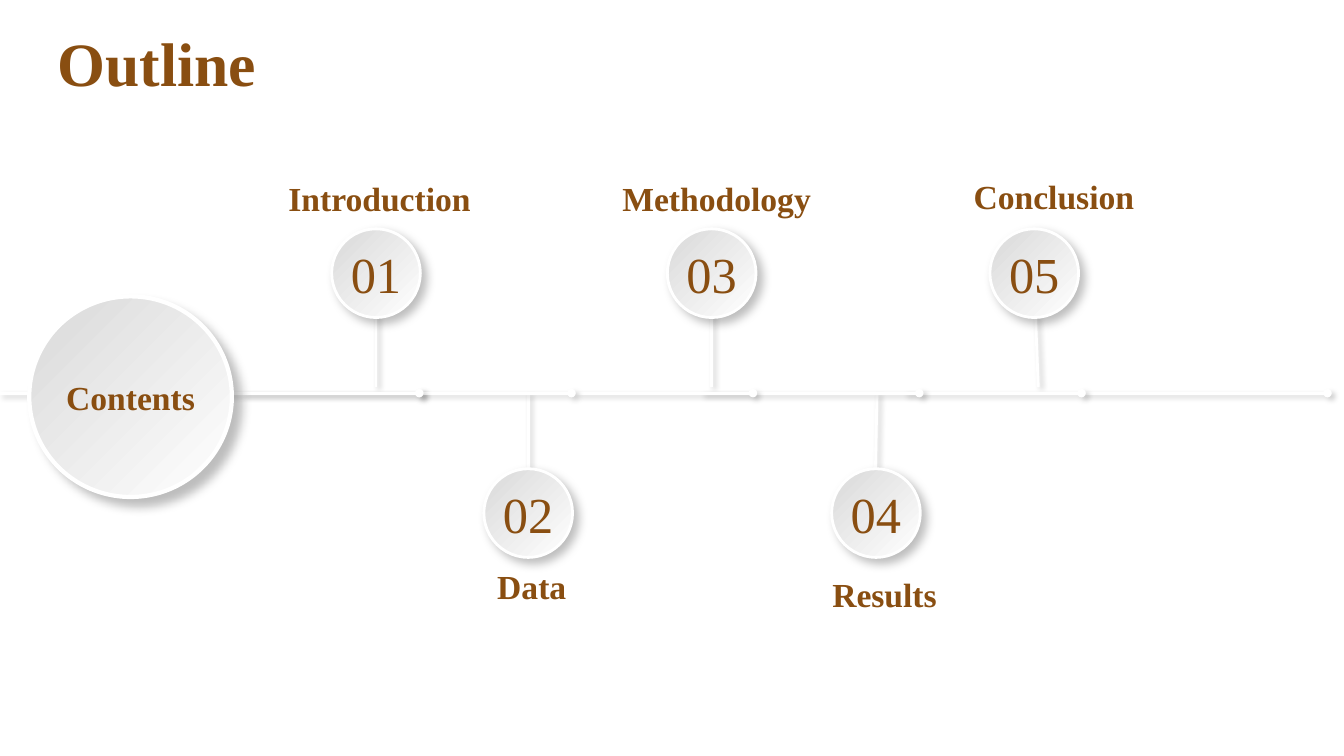
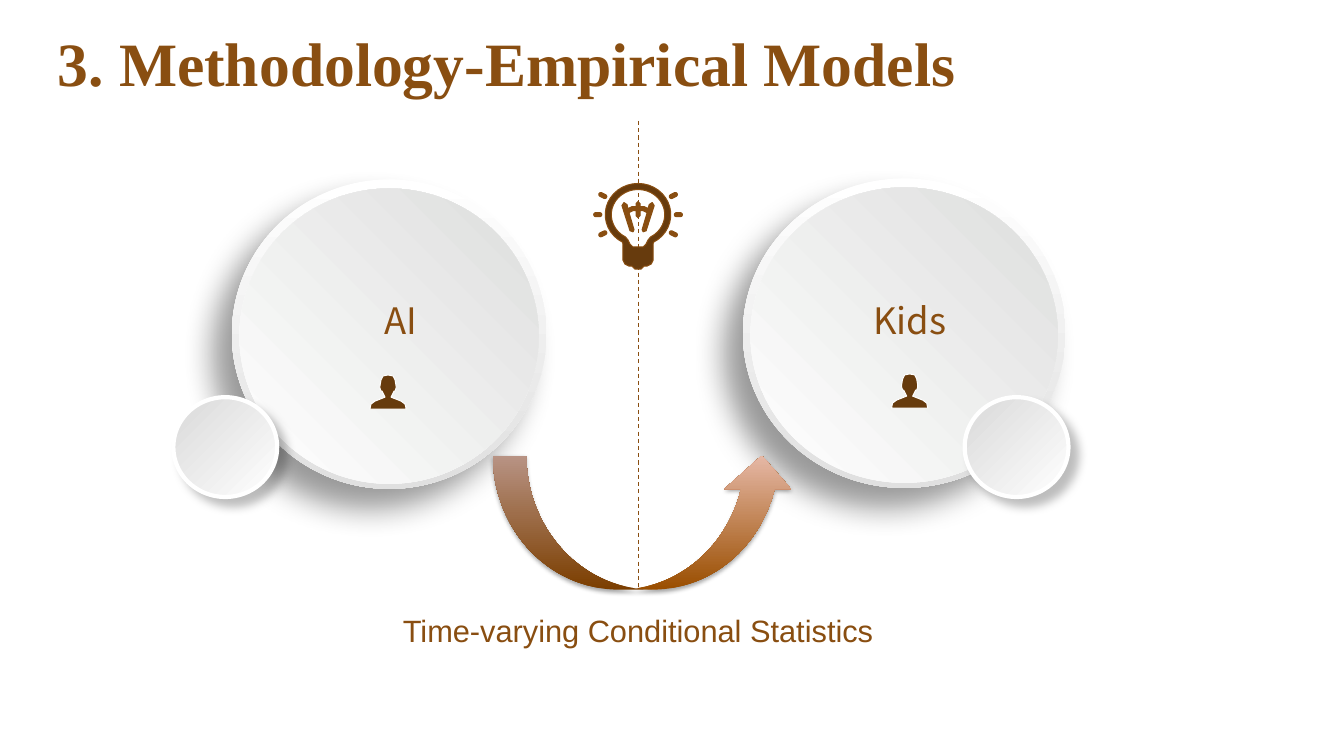
from dataclasses import dataclass
from math import atan2, cos, degrees, radians, sin
from typing import NamedTuple

from lxml.etree import SubElement
from pptx import Presentation
from pptx.dml.color import RGBColor
from pptx.enum.dml import MSO_LINE
from pptx.enum.shapes import MSO_CONNECTOR, MSO_SHAPE
from pptx.enum.text import MSO_ANCHOR, PP_ALIGN
from pptx.oxml.ns import qn
from pptx.util import Emu, Inches, Pt

CELL = Inches(0.1)  # every length below counts cells of this grid
COLS, ROWS = 133.33, 75

BROWN = RGBColor(0x89, 0x4E, 0x11)
DARK_BROWN = RGBColor(0x67, 0x3B, 0x0D)
ARROW_BROWN = RGBColor(0x9A, 0x4E, 0x00)
ARROW_PINK = RGBColor(0xE6, 0xB8, 0xA6)
WHITE = RGBColor(0xFF, 0xFF, 0xFF)
GREY = RGBColor(0xD9, 0xD9, 0xD9)
RIM_GREY = RGBColor(0xE0, 0xE0, 0xE0)
FACE_GREY = RGBColor(0xDD, 0xDE, 0xDD)

SERIF, SANS, CJK = "Times New Roman", "Arial", "Noto Sans CJK SC"

Point = tuple[float, float]


class Box(NamedTuple):
    left: float
    top: float
    width: float
    height: float


class Gradient(NamedTuple):
    start: RGBColor
    end: RGBColor
    angle: int  # counter-clockwise degrees


class Shadow(NamedTuple):
    alpha: int
    blur: float
    dist: float
    angle: int


class Style(NamedTuple):
    size: int
    font: str = SERIF
    bold: bool = False


BUTTON = Gradient(GREY, WHITE, 315)
RIM = Gradient(WHITE, RIM_GREY, 270)
FACE = Gradient(WHITE, FACE_GREY, 45)
ARROW = Gradient(ARROW_BROWN, ARROW_PINK, 90)

LINE_SHADOW = Shadow(20, 4, 3, 45)
SMALL_SHADOW = Shadow(25, 7, 5, 45)
BUTTON_SHADOW = Shadow(25, 7, 8, 45)
DISC_SHADOW = Shadow(40, 22, 20, 135)
ARROW_SHADOW = Shadow(35, 3.1, 1.8, 90)

TITLE, LABEL, NUMBER = Style(44, bold=True), Style(24, bold=True), Style(36)
DISC_NAME, CAPTION = Style(26, CJK), Style(22, SANS)


@dataclass(frozen=True)
class Lane:
    circle_top: float
    stem_start: float
    stem_end: float


ABOVE, BELOW = Lane(22.7, 38.4, 28.1), Lane(46.5, 38.9, 49.3)


@dataclass(frozen=True)
class Milestone:
    number: str
    label: str
    lane: Lane
    x: float
    label_x: float
    label_top: float
    foot_x: float


MILESTONES = [
    Milestone("01", "Introduction", ABOVE, 37.3, 37.65, 17.2, 37.3),
    Milestone("02", "Data", BELOW, 52.4, 52.75, 55.7, 52.4),
    Milestone("03", "Methodology", ABOVE, 70.6, 71.1, 17.2, 70.6),
    Milestone("04", "Results", BELOW, 86.9, 87.75, 56.4, 87),
    Milestone("05", "Conclusion", ABOVE, 102.6, 104.55, 17, 103),
]
AXIS_Y = 39
AXIS_PARTS = [(0, 41.6), (107.4, 131.7), (89.7, 107.3), (69.6, 91.2),
              (57.2, 74.7), (41.6, 56.7), (24.1, 41.6)]


@dataclass(frozen=True)
class Disc:
    name: str
    box: Box
    name_x: float
    head_x: float
    satellite_left: float


DISCS = [
    Disc("AI", Box(23, 17.8, 31.2, 30.7), 39.75, 38.5, 17.2),
    Disc("Kids", Box(73.7, 17.7, 32, 30.7), 90.25, 90.25, 95.7),
]
MIDDLE_X = 63.3


def cells(n: float) -> Emu:
    return Emu(round(n * CELL))


def add_shadow(sp, shadow: Shadow | None) -> None:
    """Write the effect list; it has to follow the fill and the line."""
    effects = SubElement(sp.element.spPr, qn("a:effectLst"))
    if shadow:
        outer = SubElement(effects, qn("a:outerShdw"), {
            "blurRad": str(Pt(shadow.blur)), "dist": str(Pt(shadow.dist)),
            "dir": str(shadow.angle * 60000), "algn": "ctr", "rotWithShape": "0"})
        black = SubElement(outer, qn("a:srgbClr"), val="000000")
        SubElement(black, qn("a:alpha"), val=str(shadow.alpha * 1000))


def write(tf, text: str, style: Style, align: PP_ALIGN = PP_ALIGN.CENTER):
    p = tf.paragraphs[0]
    p.alignment = align
    r = p.add_run()
    r.text = text
    f = r.font
    f.size, f.name, f.bold = Pt(style.size), style.font, style.bold
    f.color.rgb = BROWN
    return p


def add_text(s, box: Box, text: str, style: Style):
    tf = s.shapes.add_textbox(*map(cells, box)).text_frame
    tf.word_wrap = True
    write(tf, text, style)


def add_title(s, text: str) -> None:
    tf = s.shapes.add_textbox(*map(cells, Box(5.7, 2.4, 96.5, 10.6))).text_frame
    tf.word_wrap = True
    tf.vertical_anchor = MSO_ANCHOR.BOTTOM
    tf.margin_left = tf.margin_top = tf.margin_right = 0
    tf.margin_bottom = cells(3.1)
    write(tf, text, TITLE, PP_ALIGN.LEFT).line_spacing = 0.9


def add_gradient_shape(s, kind: MSO_SHAPE, box: Box, gradient: Gradient,
                       shadow: Shadow | None = None, rim: float = 0):
    sp = s.shapes.add_shape(kind, *map(cells, box))
    sp.fill.gradient()
    sp.fill.gradient_angle = gradient.angle
    for stop, color in zip(sp.fill.gradient_stops, (gradient.start, gradient.end)):
        stop.color.rgb = color
    if rim:
        sp.line.color.rgb = WHITE
        sp.line.width = Pt(rim)
    else:
        sp.line.fill.background()
    add_shadow(sp, shadow)
    return sp


def add_button(s, box: Box, shadow: Shadow, rim: float,
               text: str = "", style: Style = LABEL) -> None:
    sp = add_gradient_shape(s, MSO_SHAPE.OVAL, box, BUTTON, shadow, rim)
    if text:
        tf = sp.text_frame
        tf.word_wrap = False
        tf.vertical_anchor = MSO_ANCHOR.MIDDLE
        write(tf, text, style)


def add_line(s, start: Point, end: Point, color: RGBColor, width: float):
    ln = s.shapes.add_connector(MSO_CONNECTOR.STRAIGHT, *map(cells, start + end))
    ln.line.color.rgb = color
    ln.line.width = Pt(width)
    return ln


def add_rail(s, start: Point, end: Point) -> None:
    """White shadowed line with a round end."""
    ln = add_line(s, start, end, WHITE, 2)
    SubElement(ln.line._get_or_add_ln(), qn("a:tailEnd"), type="oval")
    add_shadow(ln, LINE_SHADOW)


def arc(cx: float, cy: float, rx: float, ry: float,
        start: float, end: float, steps: int = 16) -> list[Point]:
    angles = [radians(start + (end - start) * i / steps) for i in range(steps + 1)]
    return [(cx + rx * cos(a), cy + ry * sin(a)) for a in angles]


def mirrored(half: list[Point]) -> list[Point]:
    """Close a right half, listed from top to bottom, around x = 0."""
    return half + [(-x, y) for x, y in reversed(half)]


def capsule(a: Point, b: Point, radius: float) -> list[Point]:
    turn = degrees(atan2(b[1] - a[1], b[0] - a[0]))
    return (arc(*b, radius, radius, turn - 90, turn + 90, 6)
            + arc(*a, radius, radius, turn + 90, turn + 270, 6))


HEAD = mirrored([(0, 0), (0.5, 0.1), (0.7, 0.5), (0.8, 1.1), (0.8, 1.3), (0.7, 1.6),
                 (0.6, 1.6), (0.3, 2.2), (1.3, 2.6), (1.7, 2.9), (1.8, 3.4)])
GLASS = mirrored(arc(0, 3.1, 3.25, 3.1, -90, 62) + [
    (1.5, 6), (1.5, 7.6), (1.3, 8), (0.9, 8.2), (0.6, 8.2), (0.3, 8.5)])
HOLLOW = mirrored(arc(0, 3.1, 2.65, 2.5, -90, 62) + [
    (1, 5.6), (0.8, 6), (0.5, 6.3)])
FILAMENT = mirrored([(0, 1.8), (0.2, 2), (0.2, 2.3), (0.6, 2.3), (1, 2.5), (1.1, 2.1),
                     (1.4, 1.9), (1.6, 2.2), (0.8, 4.7), (0.5, 4.8), (0.4, 4.6),
                     (0.9, 2.9), (0.5, 2.7), (0.2, 2.7), (0.2, 3.2), (0, 3.4)])
RAYS = [capsule((side * x0, y0), (side * x1, y1), 0.2)
        for side in (1, -1)
        for x0, y0, x1, y1 in [(3.3, 1.3, 3.7, 1.1), (3.8, 3.1, 4.2, 3.1),
                               (3.3, 4.9, 3.7, 5.1)]]


def add_outline(s, x: float, y: float, contours: list[list[Point]],
                fill: RGBColor, line: RGBColor) -> None:
    """Draw closed contours whose origin stands at (x, y)."""
    placed = [[(cells(x + dx), cells(y + dy)) for dx, dy in c] for c in contours]
    builder = s.shapes.build_freeform(*placed[0][0])
    for i, points in enumerate(placed):
        if i:
            builder.move_to(*points[0])
        builder.add_line_segments(points[1:], close=True)
    sp = builder.convert_to_shape()
    sp.fill.solid()
    sp.fill.fore_color.rgb = fill
    sp.line.color.rgb = line
    sp.line.width = Pt(0.75)
    add_shadow(sp, None)


def add_disc(s, disc: Disc) -> None:
    left, top, width, height = disc.box
    face = Box(left + 0.75, top + 0.9, width - 1.5, height - 1.4)
    add_gradient_shape(s, MSO_SHAPE.OVAL, disc.box, RIM, DISC_SHADOW)
    add_gradient_shape(s, MSO_SHAPE.OVAL, face, FACE)
    add_text(s, Box(disc.name_x - 16.5, 29.1, 33, 5.4), disc.name, DISC_NAME)
    add_outline(s, disc.head_x, top + 19.4, [HEAD], DARK_BROWN, WHITE)


def build_outline(s) -> None:
    add_title(s, "Outline")
    for m in MILESTONES:
        add_rail(s, (m.foot_x, m.lane.stem_start),
                 (2 * m.x - m.foot_x if m.lane is BELOW else m.x, m.lane.stem_end))
    for m in MILESTONES:
        add_button(s, Box(m.x - 4.4, m.lane.circle_top, 8.8, 8.8),
                   SMALL_SHADOW, 2, m.number, NUMBER)
        add_text(s, Box(m.label_x - 16, m.label_top, 32, 5), m.label, LABEL)
    for start, end in AXIS_PARTS:
        add_rail(s, (start, AXIS_Y), (end, AXIS_Y))
    add_button(s, Box(2.9, 29.4, 20.1, 19.9), BUTTON_SHADOW, 3, "Contents")


def build_models(s) -> None:
    add_title(s, "3. Methodology-Empirical Models")
    ln = add_line(s, (MIDDLE_X, 12), (MIDDLE_X, 58.4), BROWN, 0.75)
    ln.line.dash_style = MSO_LINE.DASH
    add_shadow(ln, None)
    add_outline(s, MIDDLE_X, 18.2, [GLASS, HOLLOW], DARK_BROWN, BROWN)
    add_outline(s, MIDDLE_X, 18.2, [*RAYS, FILAMENT], BROWN, BROWN)
    for disc in DISCS:
        add_disc(s, disc)
    for disc in DISCS:
        add_button(s, Box(disc.satellite_left, 39.4, 10.3, 9.9), BUTTON_SHADOW, 3)
    add_gradient_shape(s, MSO_SHAPE.CURVED_UP_ARROW, Box(48.9, 45.2, 30, 13.3),
                       ARROW, ARROW_SHADOW)
    add_text(s, Box(MIDDLE_X - 27, 60.2, 54, 4.7),
             "Time-varying Conditional Statistics", CAPTION)


def main() -> None:
    prs = Presentation()
    prs.slide_width, prs.slide_height = cells(COLS), cells(ROWS)
    for build in (build_outline, build_models):
        build(prs.slides.add_slide(prs.slide_layouts[6]))
    prs.save("out.pptx")


if __name__ == "__main__":
    main()
